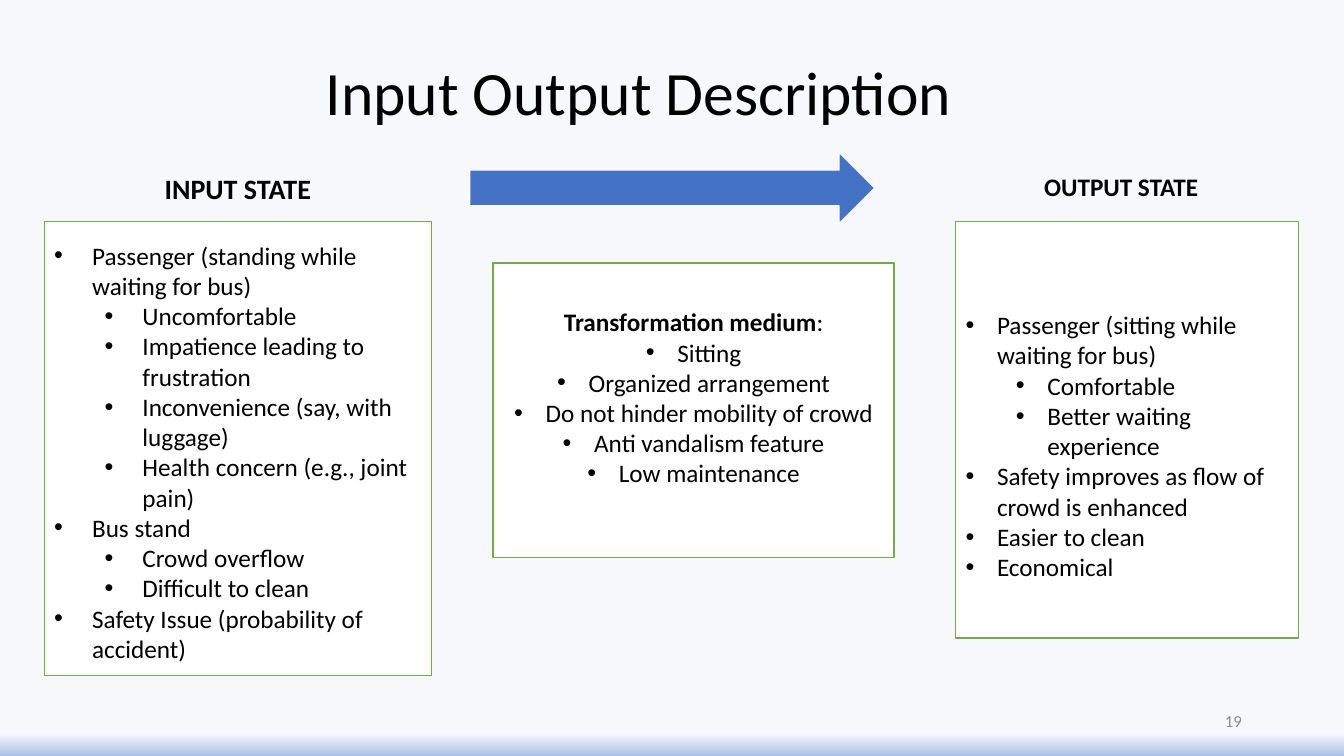
from lxml import etree
from pptx import Presentation
from pptx.dml.color import RGBColor
from pptx.enum import shapes, text
from pptx.oxml import ns
from pptx.util import Pt

BLACK = RGBColor(0, 0, 0)
WHITE = RGBColor(255, 255, 255)
GRAY = RGBColor(0x8C, 0x8C, 0x8C)
GREEN = RGBColor(0x70, 0xAD, 0x47)
BLUE = RGBColor(0x44, 0x72, 0xC4)
PALE = RGBColor(0xF6, 0xF8, 0xFC)
EDGE = RGBColor(0xAB, 0xC0, 0xE4)

LEFT, MID, RIGHT = text.PP_ALIGN.LEFT, text.PP_ALIGN.CENTER, text.PP_ALIGN.RIGHT
TOP, CENTER = text.MSO_ANCHOR.TOP, text.MSO_ANCHOR.MIDDLE

# Each item is (level, text)
INPUT = [
    (0, "Passenger (standing while waiting for bus)"),
    (1, "Uncomfortable"),
    (1, "Impatience leading to frustration"),
    (1, "Inconvenience (say, with luggage)"),
    (1, "Health concern (e.g., joint pain)"),
    (0, "Bus stand"),
    (1, "Crowd overflow"),
    (1, "Difficult to clean"),
    (0, "Safety Issue (probability of accident)"),
]
MEDIUM = ["Sitting", "Organized arrangement", "Do not hinder mobility of crowd",
          "Anti vandalism feature", "Low maintenance"]
OUTPUT = [
    (0, "Passenger (sitting while waiting for bus)"),
    (1, "Comfortable"),
    (1, "Better waiting experience"),
    (0, "Safety improves as flow of crowd is enhanced"),
    (0, "Easier to clean"),
    (0, "Economical"),
]


def write(para, words, size=18, color=BLACK, bold=False, align=LEFT):
    """Add one run of formatted text to a paragraph."""
    para.alignment = align
    run = para.add_run()
    run.text = words
    font = run.font
    font.name, font.size, font.bold = "Calibri", Pt(size), bold
    font.color.rgb = color


def bullet(para, level, hang):
    """Give a paragraph a round bullet with a hanging indent."""
    para.level = level
    props = para._p.get_or_add_pPr()
    props.set("marL", str(Pt(hang + 36 * level)))
    props.set("indent", str(-Pt(hang)))
    etree.SubElement(props, ns.qn("a:buFont")).set("typeface", "Arial")
    etree.SubElement(props, ns.qn("a:buChar")).set("char", "•")


def label(slide, box, words, anchor=TOP, **form):
    frame = slide.shapes.add_textbox(*map(Pt, box)).text_frame
    frame.word_wrap = True
    frame.vertical_anchor = anchor
    write(frame.paragraphs[0], words, **form)


def block(slide, kind, box, fill, line):
    shape = slide.shapes.add_shape(kind, *map(Pt, box))
    shape.shadow.inherit = False
    shape.fill.solid()
    shape.fill.fore_color.rgb = fill
    shape.line.color.rgb = line
    shape.line.width = Pt(1)
    return shape


def panel(slide, box, items, hang, head=None, align=LEFT, above=3.6, below=3.6):
    """Draw a green-edged box with an optional heading and a bullet list."""
    shape = block(slide, shapes.MSO_SHAPE.RECTANGLE, box, WHITE, GREEN)
    frame = shape.text_frame
    frame.word_wrap = True
    frame.vertical_anchor = CENTER
    frame.margin_top, frame.margin_bottom = Pt(above), Pt(below)
    para = frame.paragraphs[0]
    if head:
        write(para, head, bold=True, align=align)
        write(para, ":", align=align)
        para = frame.add_paragraph()
    for i, (level, words) in enumerate(items):
        if i:
            para = frame.add_paragraph()
        bullet(para, level, hang)
        write(para, words, align=align)


def heading(slide, box, words):
    title = slide.shapes.title
    title.left, title.top, title.width, title.height = map(Pt, box)
    frame = title.text_frame
    frame.vertical_anchor = TOP
    frame.auto_size = text.MSO_AUTO_SIZE.NONE
    write(frame.paragraphs[0], words, size=44)


def backdrop(slide):
    fill = slide.background.fill
    fill.gradient()
    fill.gradient_angle = 270
    for stop, place, color in zip(fill.gradient_stops, (0.97, 1), (PALE, EDGE)):
        stop.position = place
        stop.color.rgb = color


def main():
    deck = Presentation()
    deck.slide_width, deck.slide_height = Pt(960), Pt(540)
    slide = deck.slides.add_slide(deck.slide_layouts[5])
    backdrop(slide)
    heading(slide, (225.4, 34.6, 540, 60.5), "Input Output Description")

    # Input state
    label(slide, (31.7, 118.8, 276.5, 32), "INPUT STATE", size=20, bold=True, align=MID)
    panel(slide, (31.7, 158.4, 276.5, 324), INPUT, 27, above=8)

    # Transformation
    block(slide, shapes.MSO_SHAPE.RIGHT_ARROW, (335.5, 108.7, 289.4, 51.1), BLUE, WHITE)
    panel(slide, (352.1, 187.9, 286.6, 210.2), [(0, words) for words in MEDIUM], 22.5,
          head="Transformation medium", align=MID, below=22)

    # Output state
    label(slide, (738.7, 118.8, 132.5, 32), "OUTPUT STATE", bold=True)
    panel(slide, (682.6, 158.4, 244.8, 297.4), OUTPUT, 22.5, above=26)

    # Slide number
    label(slide, (678.2, 500.4, 216, 28.8), "19", anchor=CENTER, size=12,
          color=GRAY, align=RIGHT)
    deck.save("out.pptx")


if __name__ == "__main__":
    main()
